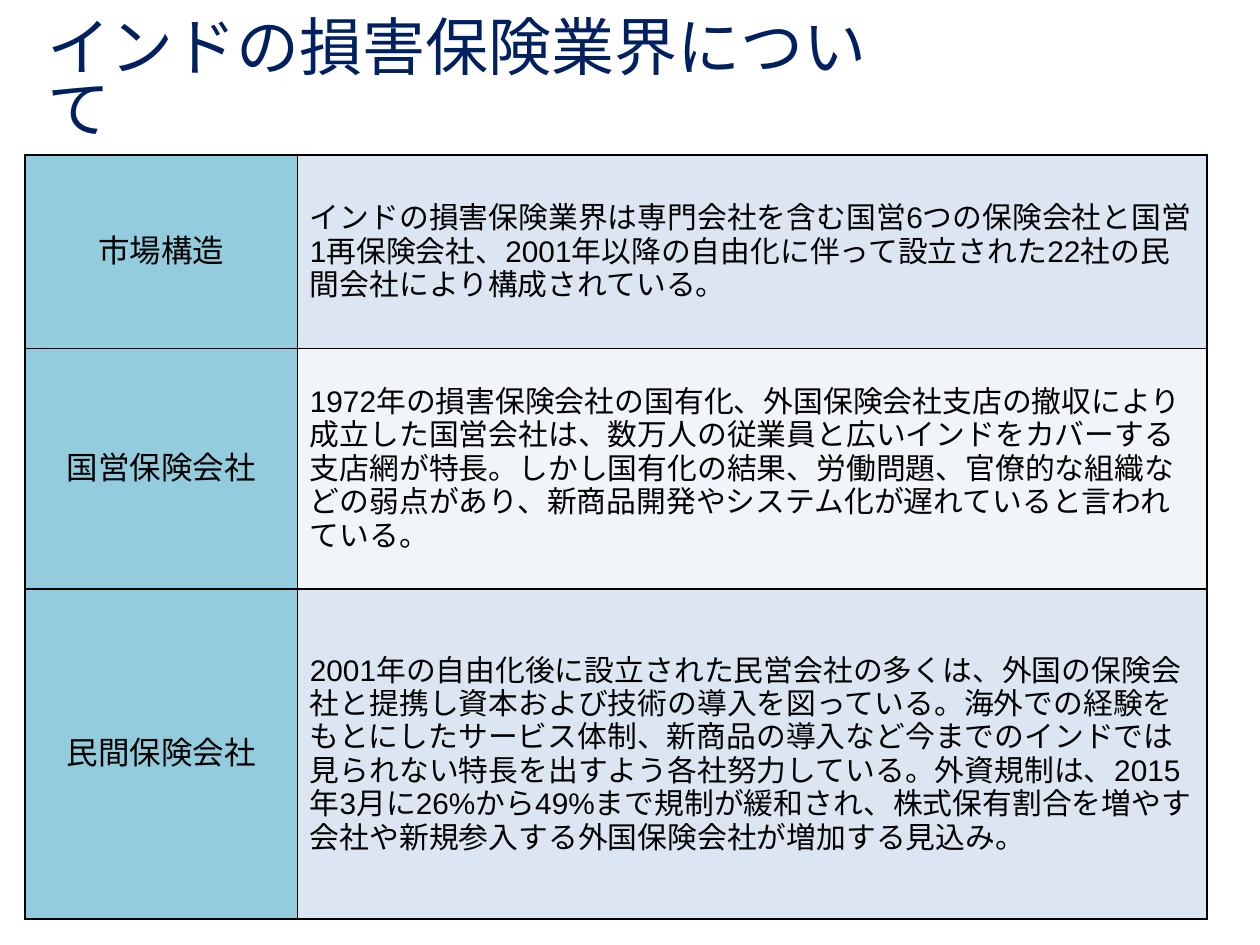
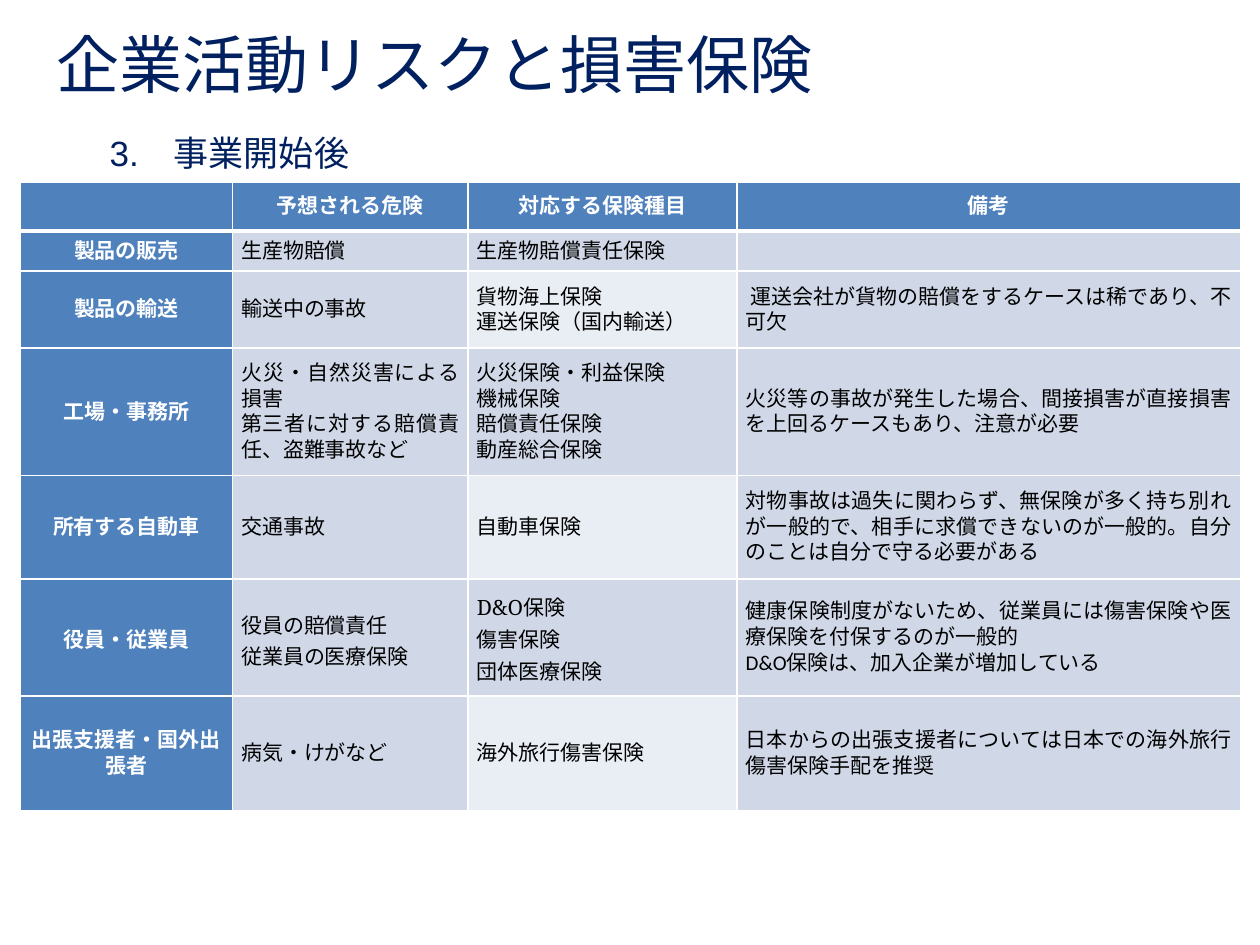
import pptx
import pptx.util
import pptx.dml.color
import pptx.enum.shapes
import pptx.enum.text
import pptx.oxml
import pptx.oxml.ns

Pt = pptx.util.Pt
ALIGN = pptx.enum.text.PP_ALIGN
MIDDLE = pptx.enum.text.MSO_ANCHOR.MIDDLE
COLORS = {
    "navy": "002060", "black": "000000", "white": "FFFFFF",
    "teal": "93CDDD", "pale": "DCE6F2", "mist": "B9CDE5",
    "blue": "4F81BD", "band": "D0D8E8", "light": "E9EDF4",
}
TITLE_FONT = "Noto Sans CJK JP"
NS = 'xmlns:a="http://schemas.openxmlformats.org/drawingml/2006/main"'


def write(paragraph, text, size, font, color, bold=False):
    """Add one Japanese run, with the same font for both scripts."""
    span = paragraph.add_run()
    span.text = text
    span.font.size = Pt(size)
    span.font.name = font
    span.font.bold = bold
    span.font.color.rgb = pptx.dml.color.RGBColor.from_string(COLORS[color])
    properties = span.font._element
    properties.set("lang", "ja-JP")
    properties.find(pptx.oxml.ns.qn("a:latin")).addnext(
        pptx.oxml.parse_xml(f'<a:ea {NS} typeface="{font}"/>'))


def style_cell(cell, fill, border, top=1, bottom=1):
    """Give a cell its borders, fill and vertical centring."""
    cell.vertical_anchor = MIDDLE
    properties = cell._tc.get_or_add_tcPr()
    for side, width in (("L", 1), ("R", 1), ("T", top), ("B", bottom)):
        properties.append(pptx.oxml.parse_xml(
            f'<a:ln{side} {NS} w="{Pt(width)}"><a:solidFill>'
            f'<a:srgbClr val="{COLORS[border]}"/></a:solidFill></a:ln{side}>'))
    cell.fill.solid()
    cell.fill.fore_color.rgb = pptx.dml.color.RGBColor.from_string(COLORS[fill])


deck = pptx.Presentation()
deck.slide_width, deck.slide_height = Pt(720), Pt(540)

# Pages: title, its place and line spacing, then the table's place and grid
page_plans = [
    ("インドの損害保険業界について", 20, 26, 0.82,
     14.4, 88.6, [155.5, 519.8], [110.6, 137.5, 188.6]),
    ("企業活動リスクと損害保険", 25.2, 15.1, 1.0,
     11.8, 104, [121, 134.8, 153.6, 287.8], [28, 23, 44, 72.8, 59, 67, 65.4]),
]
pages, tables = [], []
for title, title_left, title_top, spacing, left, top, widths, heights in page_plans:
    page = deck.slides.add_slide(deck.slide_layouts[5])
    box = page.shapes.title
    box.left, box.top, box.width, box.height = (
        Pt(title_left), Pt(title_top), Pt(510), Pt(42.5))
    frame = box.text_frame
    frame.word_wrap = True
    frame.auto_size = pptx.enum.text.MSO_AUTO_SIZE.NONE
    frame.vertical_anchor = MIDDLE
    paragraph = frame.paragraphs[0]
    paragraph.alignment = ALIGN.LEFT
    paragraph.line_spacing = spacing
    write(paragraph, title, 36, TITLE_FONT, "navy")

    table = page.shapes.add_table(
        len(heights), len(widths), Pt(left), Pt(top),
        Pt(sum(widths)), Pt(sum(heights))).table
    table.first_row = table.horz_banding = False
    for column, width in zip(table.columns, widths):
        column.width = Pt(width)
    for row, height in zip(table.rows, heights):
        row.height = Pt(height)
    pages.append(page)
    tables.append(table)

# Slide 1: the Indian non-life insurance market
market_rows = [
    ("市場構造",
     "インドの損害保険業界は専門会社を含む国営6つの保険会社と国営1再保険会社、"
     "2001年以降の自由化に伴って設立された22社の民間会社により構成されている。"),
    ("国営保険会社",
     "1972年の損害保険会社の国有化、外国保険会社支店の撤収により成立した国営会社は、"
     "数万人の従業員と広いインドをカバーする支店網が特長。しかし国有化の結果、労働問題、"
     "官僚的な組織などの弱点があり、新商品開発やシステム化が遅れていると言われている。"),
    ("民間保険会社",
     "2001年の自由化後に設立された民営会社の多くは、外国の保険会社と提携し資本および"
     "技術の導入を図っている。海外での経験をもとにしたサービス体制、新商品の導入など"
     "今までのインドでは見られない特長を出すよう各社努力している。外資規制は、2015年3月に"
     "26%から49%まで規制が緩和され、株式保有割合を増やす会社や新規参入する"
     "外国保険会社が増加する見込み。"),
]
for row, (label, body) in enumerate(market_rows):
    label_cell, body_cell = tables[0].cell(row, 0), tables[0].cell(row, 1)
    style_cell(label_cell, "teal", "black")
    style_cell(body_cell, "mist" if row == 1 else "pale", "black")
    paragraph = label_cell.text_frame.paragraphs[0]
    paragraph.alignment = ALIGN.CENTER
    write(paragraph, label, 18, "Calibri", "black")
    write(body_cell.text_frame.paragraphs[0], body, 17, "Arial", "black")
mist_color = tables[0].cell(1, 1)._tc.tcPr.find(
    pptx.oxml.ns.qn("a:solidFill")).find(pptx.oxml.ns.qn("a:srgbClr"))
mist_color.append(pptx.oxml.parse_xml(f'<a:alpha {NS} val="20000"/>'))

# Slide 2: risks after the business starts; a line break parts paragraphs
risk_rows = [
    ("", "予想される危険", "対応する保険種目", "備考"),
    ("製品の販売", "生産物賠償", "生産物賠償責任保険", ""),
    ("製品の輸送", "輸送中の事故", "貨物海上保険\n運送保険（国内輸送）",
     "\u00a0運送会社が貨物の賠償をするケースは稀であり、不可欠"),
    ("工場・事務所",
     "火災・自然災害による損害\n第三者に対する賠償責任、盗難事故など",
     "火災保険・利益保険\n機械保険\n賠償責任保険\n動産総合保険",
     "火災等の事故が発生した場合、間接損害が直接損害を上回るケースもあり、注意が必要"),
    ("所有する自動車", "交通事故", "自動車保険",
     "対物事故は過失に関わらず、無保険が多く持ち別れが一般的で、"
     "相手に求償できないのが一般的。自分のことは自分で守る必要がある"),
    ("役員・従業員", "役員の賠償責任\n従業員の医療保険",
     "D&O保険\n傷害保険\n団体医療保険",
     "健康保険制度がないため、従業員には傷害保険や医療保険を付保するのが一般的\n"
     "D&O保険は、加入企業が増加している"),
    ("出張支援者・国外出張者", "病気・けがなど", "海外旅行傷害保険",
     "日本からの出張支援者については日本での海外旅行傷害保険手配を推奨"),
]
STAFF_ROW = 5
staff_fonts = {"役員・従業員": "Noto Serif", "D&O保険": "Noto Serif",
               "役員の賠償責任": "Arial", "従業員の医療保険": "Arial"}
for row, texts in enumerate(risk_rows):
    for column, text in enumerate(texts):
        cell = tables[1].cell(row, column)
        heading = row == 0 or column == 0
        striped = column == 2 and row % 2 == 0
        fill = "blue" if heading else "light" if striped else "band"
        style_cell(cell, fill, "white", 3 if row == 1 else 1, 3 if row == 0 else 1)
        cell.margin_left = cell.margin_right = Pt(5)
        cell.margin_top = cell.margin_bottom = 0
        frame = cell.text_frame
        if not text:
            frame.paragraphs[0]._p.append(
                pptx.oxml.parse_xml(f'<a:endParaRPr {NS} sz="1200"/>'))
            continue
        for index, line in enumerate(text.split("\n")):
            paragraph = frame.add_paragraph() if index else frame.paragraphs[0]
            paragraph.alignment = ALIGN.CENTER if heading else ALIGN.JUSTIFY
            if row == STAFF_ROW and column < 3:
                paragraph.line_spacing = Pt(18)
            write(paragraph, line, 12, staff_fonts.get(line, "Calibri"),
                  "white" if heading else "black", heading)

stage = pages[1].shapes.add_shape(
    pptx.enum.shapes.MSO_SHAPE.ROUNDED_RECTANGLE, Pt(54), Pt(71.3), Pt(311.8), Pt(31.7))
stage.shadow.inherit = False
stage.fill.solid()
stage.fill.fore_color.rgb = pptx.dml.color.RGBColor.from_string(COLORS["white"])
stage.line.fill.background()
stage.text_frame.word_wrap = True
stage.text_frame.vertical_anchor = MIDDLE
paragraph = stage.text_frame.paragraphs[0]
paragraph.alignment = ALIGN.LEFT
write(paragraph, "3.\u3000事業開始後", 20, "Arial", "navy")

deck.save("out.pptx")
